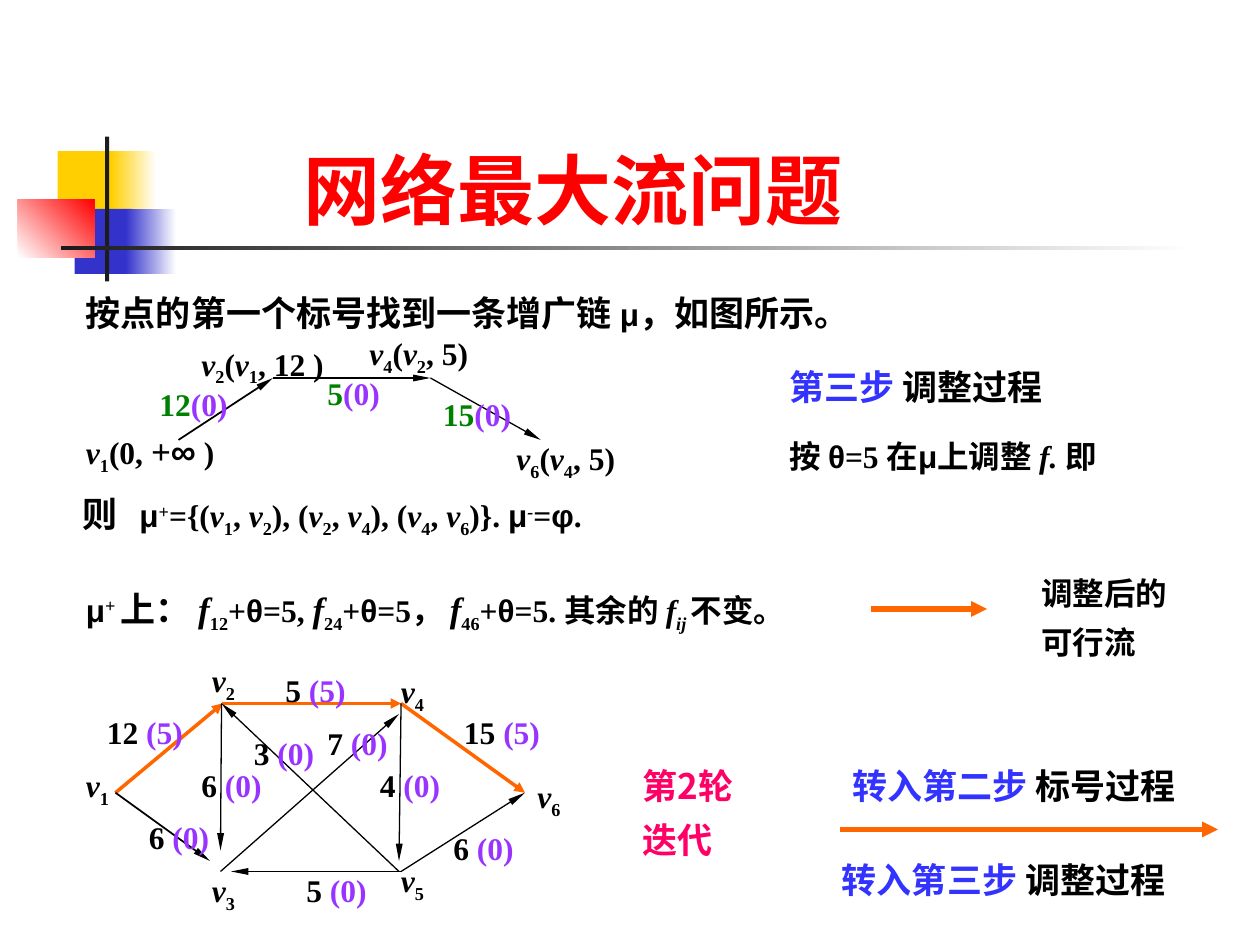
from lxml import etree
from pptx import Presentation
from pptx.dml.color import RGBColor
from pptx.enum.shapes import MSO_CONNECTOR, MSO_SHAPE
from pptx.enum.text import MSO_ANCHOR, PP_ALIGN
from pptx.oxml.ns import qn
from pptx.util import Pt

RECTANGLE = MSO_SHAPE.RECTANGLE
STRAIGHT = MSO_CONNECTOR.STRAIGHT
BOTTOM = MSO_ANCHOR.BOTTOM
JUSTIFY = PP_ALIGN.JUSTIFY
LEFT = PP_ALIGN.LEFT
PX = 7620
SERIF, SANS, CHINESE = "Times New Roman", "Arial", "Noto Sans CJK SC"
COLORS = {
    "black": "000000", "white": "FFFFFF", "yellow": "FFCF01", "navy": "3333CC",
    "red": "FF0000", "dark": "1C1C1C", "blue": "3333FF", "green": "008000",
    "purple": "9933FF", "orange": "FF6600", "pink": "FF0066",
}
RGB = {name: RGBColor.from_string(value) for name, value in COLORS.items()}
BASELINES = {"sub": "-25000", "sup": "30000"}

presentation = Presentation()
presentation.slide_width = 1200 * PX
presentation.slide_height = 900 * PX
slide = presentation.slides.add_slide(presentation.slide_layouts[6])


def add_text(left, top, width, height, paragraphs, size=18, font=SERIF,
             color="black", spacing=1.3, hanging=60, align=JUSTIFY):
    shape = slide.shapes.add_textbox(left * PX, top * PX, width * PX, height * PX)
    frame = shape.text_frame
    frame.word_wrap = True
    for index, runs in enumerate(paragraphs):
        paragraph = frame.paragraphs[0] if index == 0 else frame.add_paragraph()
        paragraph.alignment = align
        paragraph.line_spacing = spacing
        properties = paragraph._p.get_or_add_pPr()
        properties.set("marL", str(hanging * PX))
        properties.set("indent", str(-hanging * PX))
        paragraph.font.size = Pt(size)
        paragraph.font.bold = True
        paragraph.font.name = font
        paragraph.font.color.rgb = RGB[color]
        default = properties.find(qn("a:defRPr"))
        etree.SubElement(default, qn("a:ea")).set("typeface", CHINESE)
        for text, *styles in runs:
            run = paragraph.add_run()
            run.text = text
            for style in styles:
                if style in BASELINES:
                    run._r.get_or_add_rPr().set("baseline", BASELINES[style])
                elif style == "italic":
                    run.font.italic = True
                elif style == "sans":
                    run.font.name = SANS
                elif style == "large":
                    run.font.size = Pt(20)
                else:
                    run.font.color.rgb = RGB[style]
    return shape


def add_arrow(start, end, color, weight, arrow_width, arrow_length):
    connector = slide.shapes.add_connector(
        STRAIGHT, *(value * PX for value in (*start, *end)))
    connector.line.color.rgb = RGB[color]
    connector.line.width = Pt(weight)
    line = connector.line._get_or_add_ln()
    tail = etree.SubElement(line, qn("a:tailEnd"))
    for name, value in (("type", "triangle"), ("w", arrow_width), ("len", arrow_length)):
        tail.set(name, value)
    etree.SubElement(connector._element.spPr, qn("a:effectLst"))


decorations = [
    ((55, 144, 58, 62), ["yellow"], 0),
    ((106, 144, 43, 62), ["yellow", "white"], 0),
    ((71, 199, 55, 62), ["navy"], 0),
    ((120, 199, 48, 62), ["navy", "white"], 0),
    ((17, 190, 73, 55), ["white", "red"], 45),
    ((100, 130, 4, 138), ["dark"], 0),
    ((58, 234, 1080, 4), ["dark", "white"], 0),
]
for box, colors, angle in decorations:
    shape = slide.shapes.add_shape(RECTANGLE, *(value * PX for value in box))
    shape.shadow.inherit = False
    shape.line.fill.background()
    if len(colors) == 1:
        shape.fill.solid()
        shape.fill.fore_color.rgb = RGB[colors[0]]
    else:
        shape.fill.gradient()
        shape.fill.gradient_angle = angle
        for stop, color, position in zip(shape.fill.gradient_stops, colors, (0, 1)):
            stop.color.rgb = RGB[color]
            stop.position = position

title = add_text(277, 110, 574, 120, [[("网络最大流问题",)]], 44,
                 color="red", spacing=1.0, hanging=0, align=LEFT)
title.text_frame.vertical_anchor = BOTTOM

vertex = {number: [("v", "italic"), (number, "sub")] for number in "123456"}
mu, theta = ("μ", "sans"), ("θ", "sans")
comma = (", ",)

add_text(70, 260, 918, 70, [[
    ("按点的第一个标号找到一条增广链 ", "large"), mu, ("，如图所示。", "large")]])
add_text(67, 450, 533, 70, [[
    ("则", "large"), ("\t",), mu, ("+", "sup"), ("={(",),
    *vertex["1"], comma, *vertex["2"], ("), (",),
    *vertex["2"], comma, *vertex["4"], ("), (",),
    *vertex["4"], comma, *vertex["6"], (")}. ",),
    mu, ("-", "italic", "sup"), ("=",), ("φ", "sans"), (".",)]], hanging=54)

flow_changes = []
for arc, ending in (("12", "=5, "), ("24", "=5， "), ("46", "=5. 其余的 ")):
    flow_changes += [("f", "italic", "large"), (arc, "sub"), ("+",), theta, (ending,)]
add_text(70, 540, 730, 70, [[
    mu, ("+ ", "sup"), ("上： ", "large"), *flow_changes,
    ("f", "italic"), ("ij ", "italic", "sub"), ("不变。",)]])

chain = [((170, 419), (260, 360), 1), ((260, 360), (410, 360), 1),
         ((410, 360), (515, 419), 0.75)]
for start, end, weight in chain:
    add_arrow(start, end, "black", weight, "sm", "lg")

add_text(70, 390, 150, 70, [[
    *vertex["1"], ("(0, ",), ("+", "large"), ("∞", "sans", "large"), (" )",)]])
for left, top, number, source, ending in (
        (180, 310, "2", "1", ", 12 )"), (340, 300, "4", "2", ", 5)"),
        (480, 400, "6", "4", ", 5)")):
    add_text(left, top, 150, 70, [[*vertex[number], ("(",), *vertex[source], (ending,)]])
for left, top, capacity in ((140, 350, "12"), (300, 340, "5"), (410, 360, "15")):
    add_text(left, top, 90, 70, [[(capacity, "green"), ("(0)", "purple")]])

network = [
    ((110, 755), (212, 670), "orange", 2), ((110, 755), (200, 820), "black", 1),
    ((211, 670), (382, 670), "orange", 2), ((382, 830), (220, 830), "black", 0.75),
    ((382, 670), (500, 755), "orange", 2), ((382, 830), (500, 755), "black", 0.75),
    ((211, 670), (210, 810), "black", 0.75), ((382, 670), (380, 820), "black", 0.75),
    ((210, 830), (380, 680), "black", 0.75), ((380, 830), (211, 670), "black", 0.75),
]
for start, end, color, weight in network:
    head = ("med", "med") if color == "orange" else ("sm", "lg")
    add_arrow(start, end, color, weight, *head)

for number, left, top in (("1", 70, 720), ("2", 190, 620), ("3", 190, 820),
                          ("4", 370, 630), ("5", 370, 810), ("6", 500, 730)):
    add_text(left, top, 60, 60, [vertex[number]], spacing=1.1)
for left, top, capacity, flow in (
        (130, 770, "6", "0"), (90, 670, "12", "5"), (180, 720, "6", "0"),
        (260, 630, "5", "5"), (230, 690, "3", "0"), (300, 680, "7", "0"),
        (280, 820, "5", "0"), (430, 670, "15", "5"), (420, 780, "6", "0"),
        (350, 720, "4", "0")):
    add_text(left, top, 110, 60,
             [[(capacity + " ",), (f"({flow})", "purple")]], spacing=1.1)

for left, top, step, process in (
        (740, 330, "第三步", " 调整过程"), (800, 710, "转入第二步", " 标号过程"),
        (790, 800, "转入第三步", " 调整过程")):
    add_text(left, top, 360, 70, [[(step, "blue"), (process,)]], 20, CHINESE)
add_text(740, 400, 340, 70, [[
    ("按 ",), theta, ("=5 在",), mu, ("上调整 ",), ("f. ", "italic"), ("即",)]])
add_text(980, 530, 170, 110, [[("调整后的",)], [("可行流",)]])
add_text(600, 710, 130, 130, [[("第2轮",)], [("迭代",)]], 20, CHINESE, "pink")
for start, end in (((830, 580), (940, 580)), ((800, 790), (1160, 790))):
    add_arrow(start, end, "orange", 3, "med", "med")

presentation.save("out.pptx")
